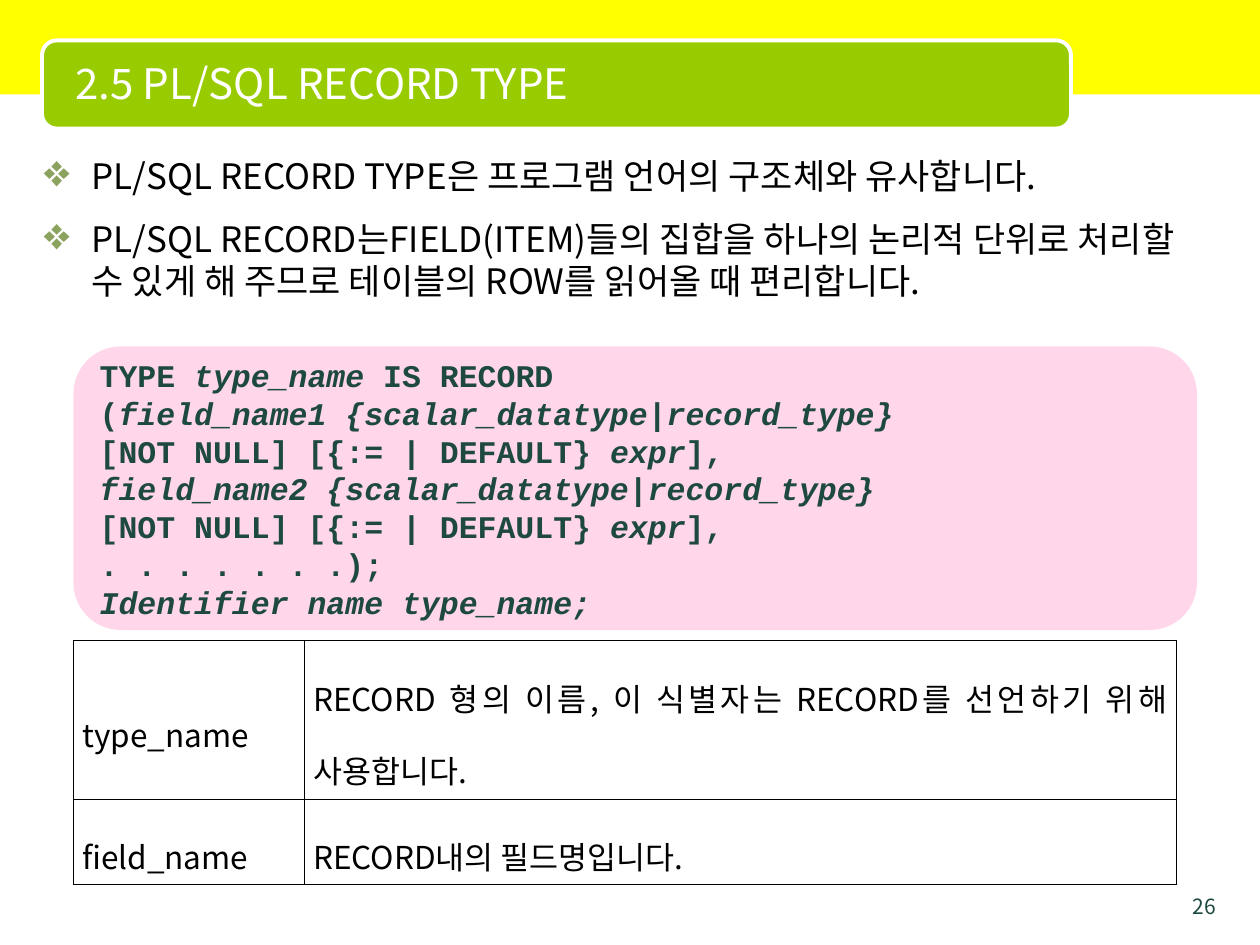
from lxml import etree
from pptx import Presentation, util as u
from pptx.dml.color import RGBColor
from pptx.enum import shapes, text
from pptx.oxml import ns

COLS, ROWS = 120, 90
CELL = u.Inches(10) // COLS
SANS, MONO = "Noto Sans CJK KR", "Courier New"
BLACK, WHITE, GREEN = "000000", "FFFFFF", "1D4940"
MIDDLE = {"vertical_anchor": text.MSO_ANCHOR.MIDDLE}

BULLETS = [
    "PL/SQL RECORD TYPE은 프로그램 언어의 구조체와 유사합니다.",
    "PL/SQL RECORD는FIELD(ITEM)들의 집합을 하나의 논리적 단위로 처리할 수 있게 해 주므로 테이블의 ROW를 읽어올 때 편리합니다.",
]
OPTIONS = "[NOT NULL] [{:= | DEFAULT} *expr*],"
SYNTAX = [
    "TYPE *type_name* IS RECORD",
    "(*field_name1 {scalar_datatype|record_type}*",
    OPTIONS,
    "*field_name2 {scalar_datatype|record_type}*",
    OPTIONS,
    ". . . . . . .);",
    "*Identifier name type_name;*",
]
TERMS = [
    ("type_name", "RECORD 형의 이름, 이 식별자는 RECORD를 선언하기 위해 사용합니다."),
    ("field_name", "RECORD내의 필드명입니다."),
]


def rgb(value):
    """Turn a hex string into a colour."""
    return RGBColor.from_string(value)


def grid(*units):
    """Turn grid units into slide lengths."""
    return [round(n * CELL) for n in units]


def inside(box, dx, dy, w, h):
    """Give a box offset from the corner of another box."""
    return box[0] + dx, box[1] + dy, w, h


def apply(obj, values):
    """Set attributes from a dict of format values."""
    for name, value in values.items():
        setattr(obj, name, value)


def sub(parent, tag, **attrs):
    """Append a DrawingML element."""
    return etree.SubElement(parent, ns.qn("a:" + tag), attrs)


def add_run(p, words, size, color, font=SANS, **style):
    """Add a run with its font for Latin and Korean letters."""
    r = p.add_run()
    r.text = words
    apply(r.font, {"size": u.Pt(size), "name": font, **style})
    r.font.color.rgb = rgb(color)
    sub(r.font._element, "ea", typeface=font)


def add_panel(s, kind, box, fill, line=None):
    """Add a filled shape with an optional outline."""
    sp = s.shapes.add_shape(kind, *grid(*box))
    sp.shadow.inherit = False
    sp.fill.solid()
    sp.fill.fore_color.rgb = rgb(fill)
    if line:
        sp.line.color.rgb = rgb(line)
        sp.line.width = u.Pt(2.25)
    else:
        sp.line.fill.background()
    return sp


def add_text(s, box, **frame):
    """Add a wrapping text box and return its frame."""
    tf = s.shapes.add_textbox(*grid(*box)).text_frame
    apply(tf, {"word_wrap": True, **frame})
    return tf


def paragraphs(tf, items):
    """Pair each item with a paragraph of the frame."""
    for i, item in enumerate(items):
        yield (tf.add_paragraph() if i else tf.paragraphs[0]), item


def header(s, box, title):
    """Place the band, the title plate and the title."""
    kinds = shapes.MSO_SHAPE
    add_panel(s, kinds.RECTANGLE, inside(box, 0, 0, box[2], 9), "FFFF00")
    plate = inside(box, 4, 3.85, 98, 8.4)
    add_panel(s, kinds.ROUNDED_RECTANGLE, plate, "99CC00", WHITE)
    tf = add_text(s, inside(plate, 2, 0.35, 95, 7.4), **MIDDLE)
    add_run(tf.paragraphs[0], title, 24, WHITE)


def bullet_list(s, box, items):
    """Place the bulleted statements."""
    tf = add_text(s, box)
    indent = u.Inches(0.38)
    for p, item in paragraphs(tf, items):
        p.space_before = u.Pt(12)
        pr = p._p.get_or_add_pPr()
        pr.set("marL", str(indent))
        pr.set("indent", str(-indent))
        sub(sub(pr, "buClr"), "srgbClr", val="8CA35F")
        sub(pr, "buSzPct", val="130000")
        sub(pr, "buChar", char="❖")
        add_run(p, item, 20, BLACK)


def syntax_panel(s, box, lines):
    """Place the syntax, with starred parts in italics."""
    sp = add_panel(s, shapes.MSO_SHAPE.ROUNDED_RECTANGLE, box, "FF99CC")
    color = sp.fill._xPr.find(".//" + ns.qn("a:srgbClr"))
    sub(color, "alpha", val="40000")
    tf = sp.text_frame
    apply(tf, {"word_wrap": False, **MIDDLE})
    for p, line in paragraphs(tf, lines):
        p.alignment = text.PP_ALIGN.LEFT
        for i, part in enumerate(line.split("*")):
            if part:
                add_run(p, part, 18, GREEN, MONO, bold=True, italic=i % 2 == 1)


def add_borders(cell):
    """Draw a hairline on each side of a cell."""
    pr = cell._tc.get_or_add_tcPr()
    for i, side in enumerate(("lnL", "lnR", "lnT", "lnB")):
        ln = etree.Element(ns.qn("a:" + side), w=str(u.Pt(0.11)))
        sub(sub(ln, "solidFill"), "srgbClr", val=BLACK)
        pr.insert(i, ln)


def term_table(s, box, terms, widths, heights):
    """Place the table of terms and meanings."""
    table = s.shapes.add_table(len(terms), len(widths), *grid(*box)).table
    apply(table, {"first_row": False, "horz_banding": False})
    for col, width in zip(table.columns, grid(*widths)):
        col.width = width
    for row, height, words in zip(table.rows, grid(*heights), terms):
        row.height = height
        for cell, word in zip(row.cells, words):
            margin = u.Inches(0.07)
            apply(cell, {"margin_left": margin, "margin_right": margin, **MIDDLE})
            cell.fill.background()
            add_borders(cell)
            p = cell.text_frame.paragraphs[0]
            apply(p, {"alignment": text.PP_ALIGN.JUSTIFY, "line_spacing": 1.6})
            add_run(p, word, 18, BLACK)


def page_number(s, box, number):
    """Place the page number."""
    p = add_text(s, box).paragraphs[0]
    p.alignment = text.PP_ALIGN.RIGHT
    add_run(p, number, 12, GREEN)


def main():
    """Build and save the slide."""
    prs = Presentation()
    apply(prs, {"slide_width": COLS * CELL, "slide_height": ROWS * CELL})
    s = prs.slides.add_slide(prs.slide_layouts[6])
    header(s, (0, 0, COLS, 12.25), "2.5 PL/SQL RECORD TYPE")
    page_number(s, (111, 84.5, 6, 2.5), "26")
    bullet_list(s, (3, 14.15, 112, 73.7), BULLETS)
    syntax_panel(s, (7, 33, 107, 27), SYNTAX)
    term_table(s, (7, 61, 105, 23.25), TERMS, (22, 83), (15.15, 8.1))
    prs.save("out.pptx")


if __name__ == "__main__":
    main()
